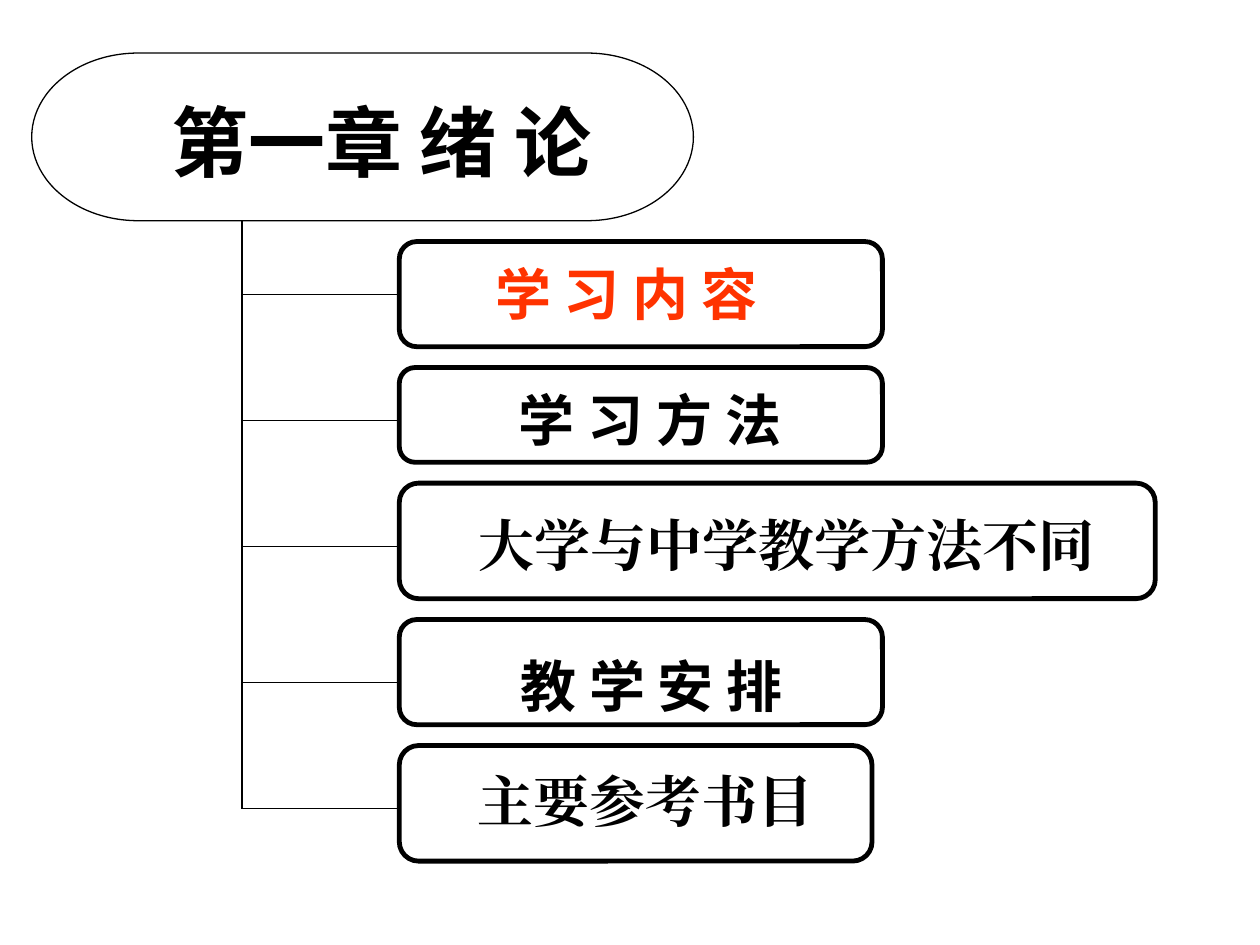
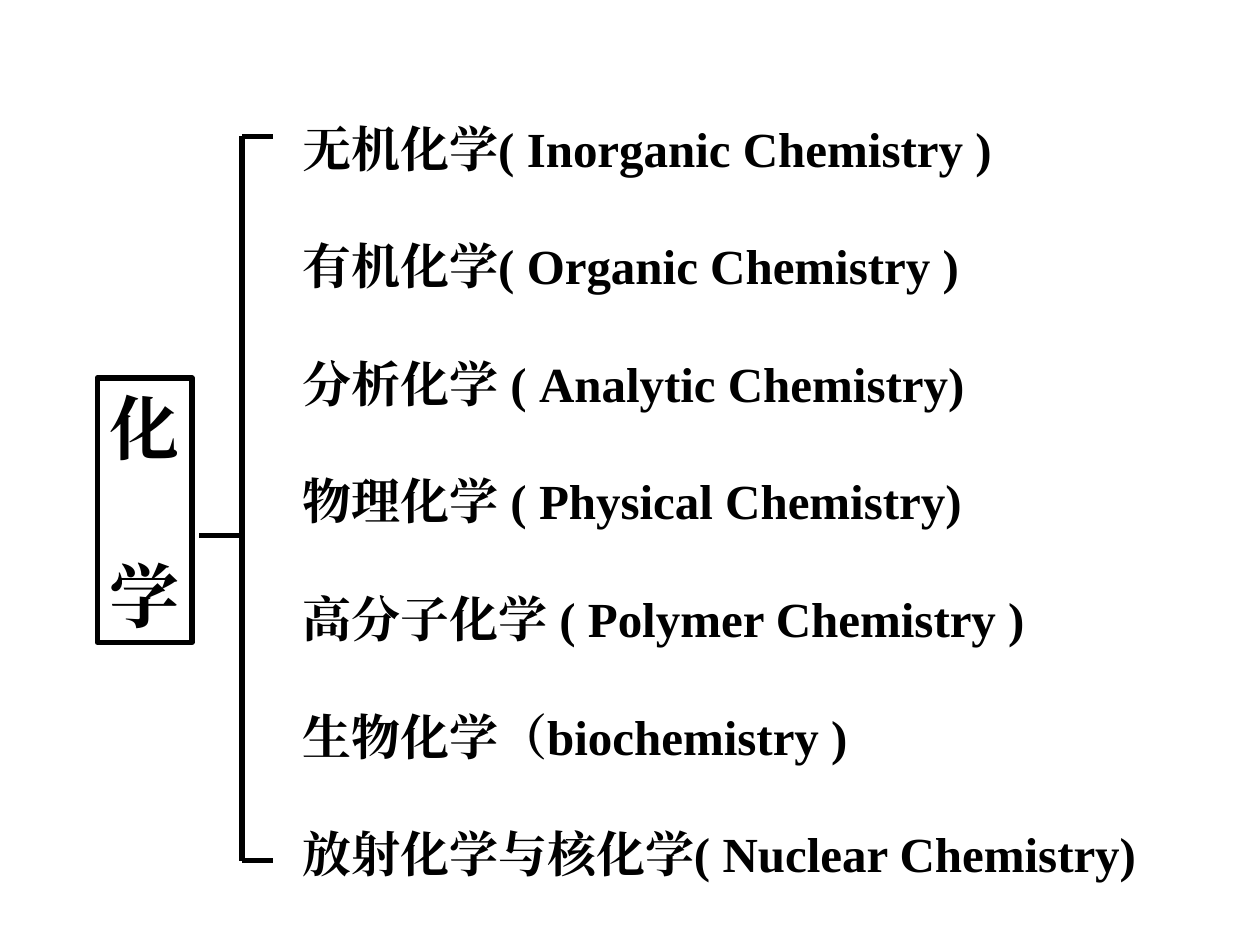
from lxml.etree import SubElement
from pptx import Presentation
from pptx.dml.color import RGBColor
from pptx.enum.shapes import MSO_CONNECTOR, MSO_SHAPE
from pptx.oxml.ns import qn
from pptx.util import Cm, Pt

BLACK, RED = "000000", "FF3300"
SANS, SERIF = "Noto Sans CJK SC", "Times New Roman"
LEADING = {SANS: 1.29, SERIF: 1.2}
THIN, MEDIUM, THICK = 0.75, 2.75, 3
TRUNK = 4.88


def paint(hue):
    return RGBColor.from_string(hue)


class Deck:
    def __init__(self):
        self.show = Presentation()
        self.show.slide_width, self.show.slide_height = Cm(25.4), Cm(19.05)
        self.slide = None

    def page(self):
        self.slide = self.show.slides.add_slide(self.show.slide_layouts[6])

    def frame(self, kind, place, weight):
        shape = self.slide.shapes.add_shape(kind, *map(Cm, place))
        shape.shadow.inherit = False
        shape.fill.background()
        shape.line.color.rgb = paint(BLACK)
        shape.line.width = Pt(weight)
        return shape

    def line(self, left, top, right, end, weight):
        rule = self.slide.shapes.add_connector(
            MSO_CONNECTOR.STRAIGHT, *map(Cm, (left, top, right, end)))
        rule.line.color.rgb = paint(BLACK)
        rule.line.width = Pt(weight)
        SubElement(rule._element.spPr, qn("a:effectLst"))

    def text(self, place, lines, size, face, hue=BLACK):
        """Left-aligned bold lines, set one blank line's height apart."""
        box = self.slide.shapes.add_textbox(*map(Cm, place))
        box.text_frame.word_wrap = True
        box.text_frame.text = "\n".join(lines)
        pitch = Pt(round(size * LEADING[face], 1))
        for i, para in enumerate(box.text_frame.paragraphs):
            para.line_spacing = pitch
            if i:
                para.space_before = pitch
            font = para.font
            font.size, font.bold, font.name = Pt(size), True, face
            font.color.rgb = paint(hue)
            SubElement(font._element, qn("a:ea"), typeface=face)


def outline(deck):
    deck.page()
    deck.frame(MSO_SHAPE.FLOWCHART_TERMINATOR, (0.64, 1.07, 13.34, 3.38), THIN)
    deck.text((3.2, 1.63, 9.83, 2.13), ["第一章 绪 论"], 44, SANS)
    # label, box width and height, text left, top and width, branch, font, colour
    topics = [
        ("学 习 内 容", 9.74, 2.12, 9.73, 5.0, 6.76, 5.93, SANS, RED),
        ("学 习 方 法", 9.74, 1.91, 10.21, 7.54, 6.3, 8.47, SANS, BLACK),
        ("大学与中学教学方法不同", 15.24, 2.33, 9.4, 10.16, 13.39, 11.01, SERIF, BLACK),
        ("教 学 安 排", 9.74, 2.12, 10.24, 12.9, 6.3, 13.76, SANS, BLACK),
        ("主要参考书目", 9.53, 2.33, 9.37, 15.32, 7.42, 16.3, SERIF, BLACK),
    ]
    left, top, gap = 8.05, 4.87, 0.42
    for label, width, height, x, y, wide, branch, face, hue in topics:
        deck.frame(MSO_SHAPE.ROUNDED_RECTANGLE, (left, top, width, height), MEDIUM)
        deck.text((x, y, wide, 1.63), [label], 32, face, hue)
        deck.line(TRUNK, branch, left, branch, THIN)
        top += height + gap
    deck.line(TRUNK, 4.45, TRUNK, branch, THIN)


def fields(deck):
    deck.page()
    root = (1.96, 7.62, 1.91, 5.33)
    deck.frame(MSO_SHAPE.RECTANGLE, root, THICK)
    deck.text(root, ["化", "学"], 40, SERIF)
    top, end, mid = 2.75, 17.35, 10.8
    deck.line(TRUNK, top, TRUNK, end, THICK)
    deck.line(4.02, mid, TRUNK, mid, THICK)
    for y in (top, end):
        deck.line(TRUNK, y, 5.5, y, THICK)
    deck.text((5.85, 2.26, 17.55, 15.67), [
        "无机化学( Inorganic Chemistry )",
        "有机化学( Organic Chemistry )",
        "分析化学 ( Analytic Chemistry)",
        "物理化学 ( Physical Chemistry)",
        "高分子化学 ( Polymer Chemistry )",
        "生物化学（biochemistry )",
        "放射化学与核化学( Nuclear Chemistry)",
    ], 28, SERIF)


def main():
    deck = Deck()
    outline(deck)
    fields(deck)
    deck.show.save("out.pptx")


if __name__ == "__main__":
    main()
